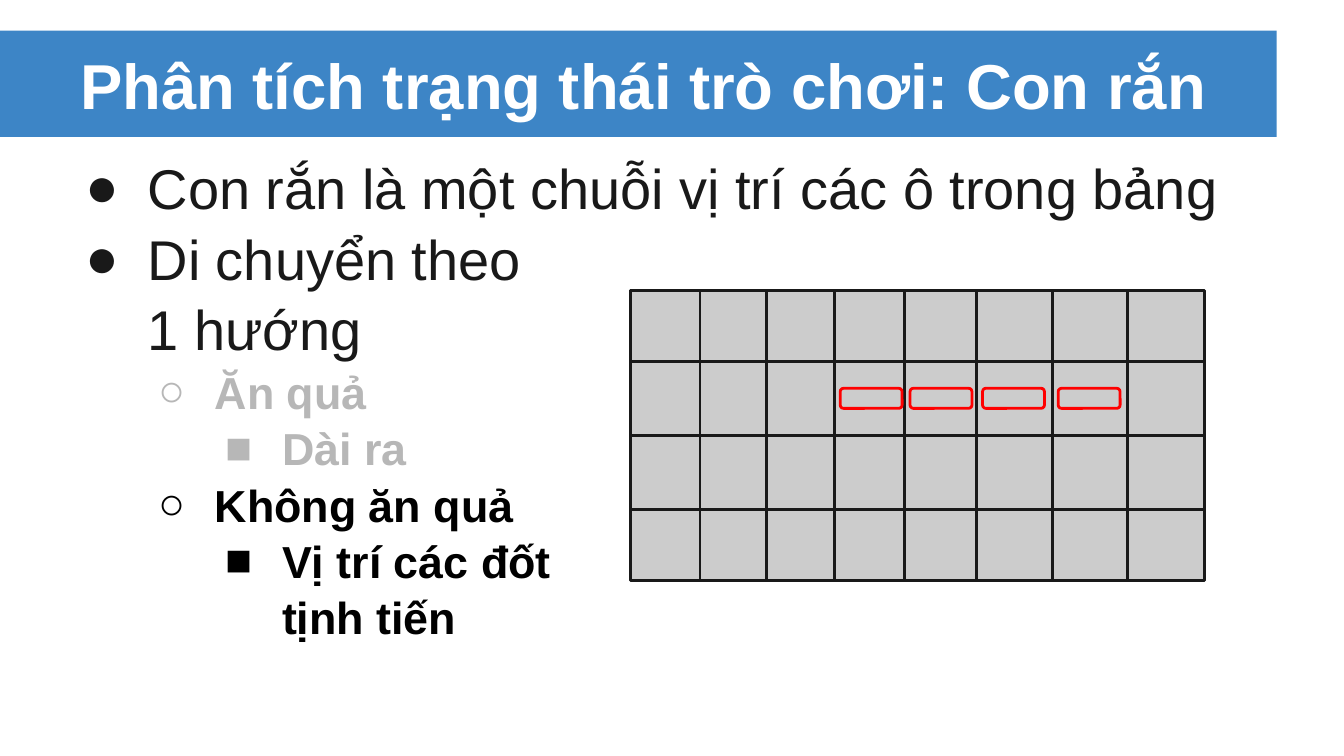
from lxml import etree
from pptx import Presentation
from pptx.dml.color import RGBColor
from pptx.enum.shapes import MSO_CONNECTOR, MSO_SHAPE
from pptx.enum.text import MSO_ANCHOR, MSO_AUTO_SIZE, PP_ALIGN
from pptx.oxml.ns import qn
from pptx.util import Cm, Pt

RECTANGLE, ROUNDED = MSO_SHAPE.RECTANGLE, MSO_SHAPE.ROUNDED_RECTANGLE
STRAIGHT = MSO_CONNECTOR.STRAIGHT
TOP, MIDDLE = MSO_ANCHOR.TOP, MSO_ANCHOR.MIDDLE
NO_AUTOFIT = MSO_AUTO_SIZE.NONE
LEFT = PP_ALIGN.LEFT

BLUE = RGBColor(0x3D, 0x85, 0xC6)
WHITE = RGBColor(0xFF, 0xFF, 0xFF)
INK = RGBColor(0x19, 0x19, 0x19)
BLACK = RGBColor(0, 0, 0)
MUTED = RGBColor(0xB7, 0xB7, 0xB7)
BOARD_GRAY = RGBColor(0xCC, 0xCC, 0xCC)
RED = RGBColor(0xFF, 0, 0)

FONT = "Arial"
TITLE = "Phân tích trạng thái trò chơi: Con rắn"
POINTS = [  # level, text, colour
    (0, "Con rắn là một chuỗi vị trí các ô trong bảng", INK),
    (0, "Di chuyển theo \n1 hướng", INK),
    (1, "Ăn quả", MUTED),
    (2, "Dài ra", MUTED),
    (1, "Không ăn quả", BLACK),
    (2, "Vị trí các đốt \ntịnh tiến", BLACK),
]
LEVEL_STYLES = [  # bullet, hanging indent in cm, size, bold
    ("●", 1.17, 30, False),
    ("○", 1.07, 24, True),
    ("■", 1.07, 24, True),
]
COLUMN_LINES = [1.32, 2.57, 3.86, 5.18, 6.55, 7.98, 9.4]
ROW_LINES = [1.35, 2.74, 4.14]
SNAKE_COLUMNS = COLUMN_LINES[2:6]


def fit_placeholder(holder, box, anchor):
    holder.left, holder.top, holder.width, holder.height = map(Cm, box)
    frame = holder.text_frame
    frame.word_wrap = True
    frame.auto_size = NO_AUTOFIT
    frame.vertical_anchor = anchor
    frame.margin_left = frame.margin_right = Cm(0.25)
    frame.margin_top = frame.margin_bottom = Cm(0.25)
    return frame


def style_font(font, size, bold, color):
    font.name = FONT
    font.size = Pt(size)
    font.bold = bold
    font.color.rgb = color


def add_plain_shape(slide, kind, box, fill=None, line=None):
    shape = slide.shapes.add_shape(kind, *map(Cm, box))
    shape.shadow.inherit = False
    if fill is None:
        shape.fill.background()
    else:
        shape.fill.solid()
        shape.fill.fore_color.rgb = fill
    if line is None:
        shape.line.fill.background()
    else:
        shape.line.color.rgb = line
        shape.line.width = Pt(1.5)
    return shape


def add_grid_line(slide, x1, y1, x2, y2):
    rule = slide.shapes.add_connector(STRAIGHT, *map(Cm, (x1, y1, x2, y2)))
    rule.line.color.rgb = INK
    rule.line.width = Pt(1.5)
    etree.SubElement(rule._element.spPr, qn("a:effectLst"))


def add_header(slide, left, top, width, height):
    band = add_plain_shape(slide, RECTANGLE, (left, top, width, height), BLUE)
    slide.shapes._spTree.insert(2, band._element)  # behind the title
    title_box = (left + 1.27, top, width - 1.27, height)
    frame = fit_placeholder(slide.shapes.title, title_box, MIDDLE)
    heading = frame.paragraphs[0]
    heading.text = TITLE
    heading.alignment = LEFT
    style_font(heading.font, 34, True, WHITE)


def set_bullet(paragraph, mark, color, margin, hanging):
    props = paragraph._p.get_or_add_pPr()
    props.set("marL", str(Cm(margin)))
    props.set("indent", str(-Cm(hanging)))
    bullet_color = etree.SubElement(props, qn("a:buClr"))
    etree.SubElement(bullet_color, qn("a:srgbClr"), val=str(color))
    etree.SubElement(props, qn("a:buFont"), typeface=FONT)
    etree.SubElement(props, qn("a:buChar"), char=mark)


def add_points(slide, box):
    frame = fit_placeholder(slide.placeholders[1], box, TOP)
    for index, (level, text, color) in enumerate(POINTS):
        point = frame.add_paragraph() if index else frame.paragraphs[0]
        mark, hanging, size, bold = LEVEL_STYLES[level]
        point.text = text
        point.level = level
        set_bullet(point, mark, color, 1.27 * (level + 1), hanging)
        point.alignment = LEFT
        point.line_spacing = 1.05
        point.space_before = point.space_after = Pt(0)
        style_font(point.font, size, bold, color)


def add_board(slide, left, top, width, height):
    """Draw the grid and the snake lying in its second row."""
    add_plain_shape(slide, RECTANGLE, (left, top, width, height), BOARD_GRAY, INK)
    for x in COLUMN_LINES:
        add_grid_line(slide, left + x, top, left + x, top + height)
    for y in ROW_LINES:
        add_grid_line(slide, left, top + y, left + width, top + y)
    for x in SNAKE_COLUMNS:
        segment_box = (left + x + 0.11, top + 1.85, 1.17, 0.38)
        add_plain_shape(slide, ROUNDED, segment_box, line=RED)


def main():
    deck = Presentation()
    deck.slide_width, deck.slide_height = Cm(25.4), Cm(14.29)
    slide = deck.slides.add_slide(deck.slide_layouts[1])
    add_header(slide, 0, 0.58, 24.13, 2.01)
    add_points(slide, (1.27, 2.59, 22.86, 11.1))
    add_board(slide, 11.91, 5.49, 10.85, 5.49)
    deck.save("out.pptx")


if __name__ == "__main__":
    main()
